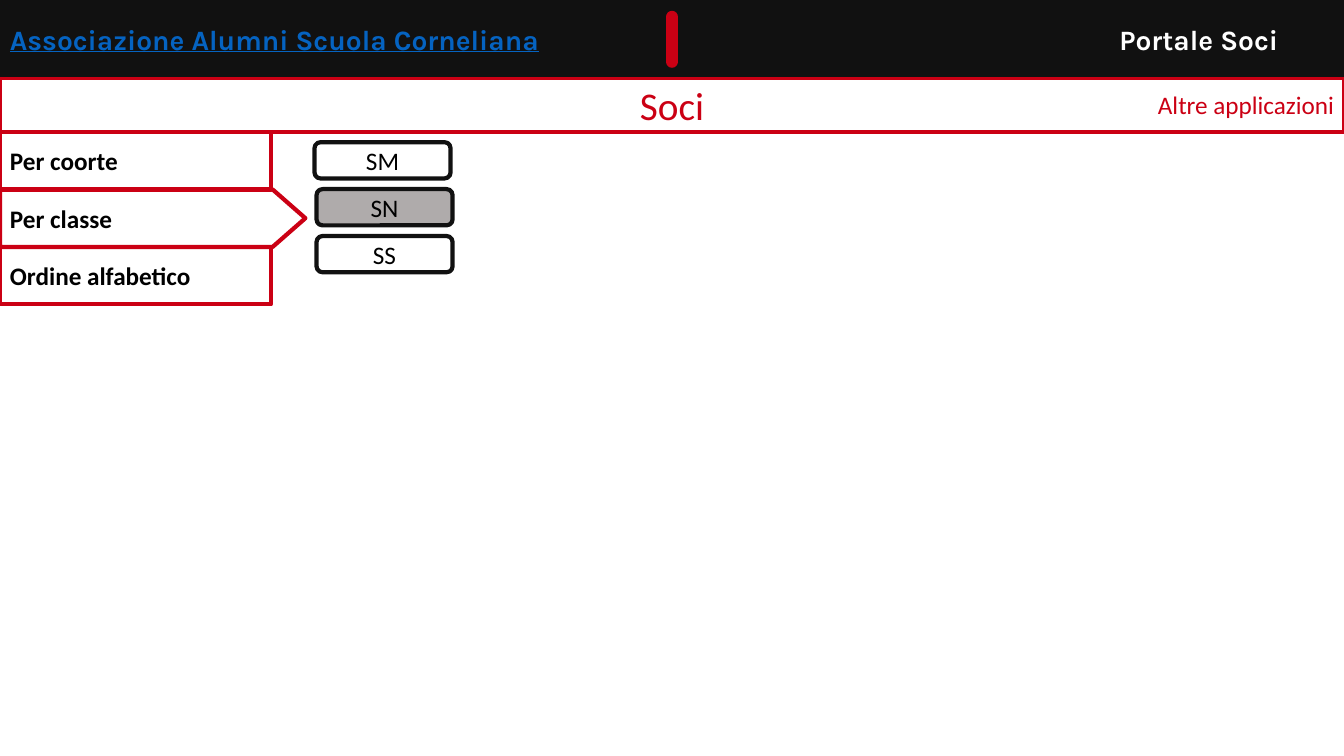
import pptx
import pptx.dml.color
import pptx.enum.shapes
import pptx.enum.text
import pptx.oxml
import pptx.util

Pt = pptx.util.Pt
SHAPE = pptx.enum.shapes.MSO_SHAPE
ALIGN = pptx.enum.text.PP_ALIGN
ANCHOR = pptx.enum.text.MSO_ANCHOR
AUTO = pptx.enum.text.MSO_AUTO_SIZE
RED, DARK, GREY, BLUE = "CB0014", "111111", "AFABAB", "0563C1"
BLACK, WHITE = "000000", "FFFFFF"


def rgb(value):
    return pptx.dml.color.RGBColor.from_string(value)


class Page:
    """Draws styled elements on one slide, with lengths in points."""

    def __init__(self, prs):
        self.s = prs.slides.add_slide(prs.slide_layouts[5])
        self.style = {"name": "Calibri", "size": Pt(18), "bold": False}

    def text(self, sp, words, color, align, anchor, **fmt):
        tf = sp.text_frame
        frame = {"word_wrap": True, "auto_size": AUTO.NONE, "vertical_anchor": anchor,
                 "margin_left": Pt(7.2), "margin_right": Pt(7.2),
                 "margin_top": Pt(3.6), "margin_bottom": Pt(3.6)}
        for key, value in frame.items():
            setattr(tf, key, value)
        p = tf.paragraphs[0]
        p.alignment, p.line_spacing = align, 1.0
        r = p.add_run()
        r.text = words
        for key, value in {**self.style, **fmt}.items():
            setattr(r.font, key, value)
        r.font.color.rgb = rgb(color)

    def title(self, box, words, color, **fmt):
        sp = self.s.shapes.title
        for key, value in zip(("left", "top", "width", "height"), box):
            setattr(sp, key, Pt(value))
        self.text(sp, words, color, ALIGN.CENTER, ANCHOR.TOP, **fmt)

    def label(self, box, words, color, align=ALIGN.LEFT, **fmt):
        sp = self.s.shapes.add_textbox(*map(Pt, box))
        self.text(sp, words, color, align, ANCHOR.TOP, **fmt)

    def shape(self, kind, box, line, weight, fill=None):
        sp = self.s.shapes.add_shape(kind, *map(Pt, box))
        sp.shadow.inherit = False
        if fill:
            sp.fill.solid()
            sp.fill.fore_color.rgb = rgb(fill)
        else:
            sp.fill.background()
        sp.line.color.rgb = rgb(line)
        sp.line.width = Pt(weight)
        return sp

    def bar(self, ends, color, weight):
        c = self.s.shapes.add_connector(pptx.enum.shapes.MSO_CONNECTOR.STRAIGHT, *map(Pt, ends))
        c.line.color.rgb = rgb(color)
        c.line.width = Pt(weight)
        c.line._get_or_add_ln().set("cap", "rnd")
        c._element.spPr.append(pptx.oxml.parse_xml(
            '<a:effectLst xmlns:a="http://schemas.openxmlformats.org/drawingml/2006/main"/>'))


def main():
    prs = pptx.Presentation()
    prs.slide_width, prs.slide_height = Pt(960), Pt(540)
    page = Page(prs)
    header = {"name": "Karla", "size": Pt(20), "bold": True}

    page.shape(SHAPE.RECTANGLE, (0, 0, 960, 56.16), DARK, 1, DARK)
    page.label((0, 12.24, 480, 31.68), "Associazione Alumni Scuola Corneliana", BLUE,
               underline=True, **header)
    page.bar((480, 12.24, 480, 43.92), RED, 9)
    page.label((684, 12.24, 236.16, 31.68), "Portale Soci", WHITE, ALIGN.RIGHT, **header)

    page.shape(SHAPE.RECTANGLE, (0, 56.16, 960, 38.16), RED, 2.25)
    page.title((418.5, 54.72, 123, 41.04), "Soci", RED, size=Pt(28))
    page.label((753, 60.48, 207, 28.8), "Altre applicazioni", RED, ALIGN.RIGHT)

    row_top, row_height = 94.32, 41.04
    menu = [(0, "Per coorte", SHAPE.RECTANGLE, 193.68),
            (2, "Ordine alfabetico", SHAPE.RECTANGLE, 193.68),
            (1, "Per classe", SHAPE.PENTAGON, 218.16)]
    for row, words, kind, width in menu:
        sp = page.shape(kind, (0, row_top + row * row_height, width, row_height), RED, 3)
        if kind == SHAPE.PENTAGON:
            sp.adjustments[0] = 0.57
        page.text(sp, words, BLACK, ALIGN.LEFT, ANCHOR.MIDDLE, bold=True)

    classes = [("SS", 226.08, 168.6, None), ("SN", 226.08, 135.1, GREY), ("SM", 224.64, 101.6, None)]
    for words, left, top, fill in classes:
        sp = page.shape(SHAPE.ROUNDED_RECTANGLE, (left, top, 97.2, 25.92), DARK, 3, fill)
        page.text(sp, words, BLACK, ALIGN.CENTER, ANCHOR.MIDDLE)

    prs.save("out.pptx")


if __name__ == "__main__":
    main()
